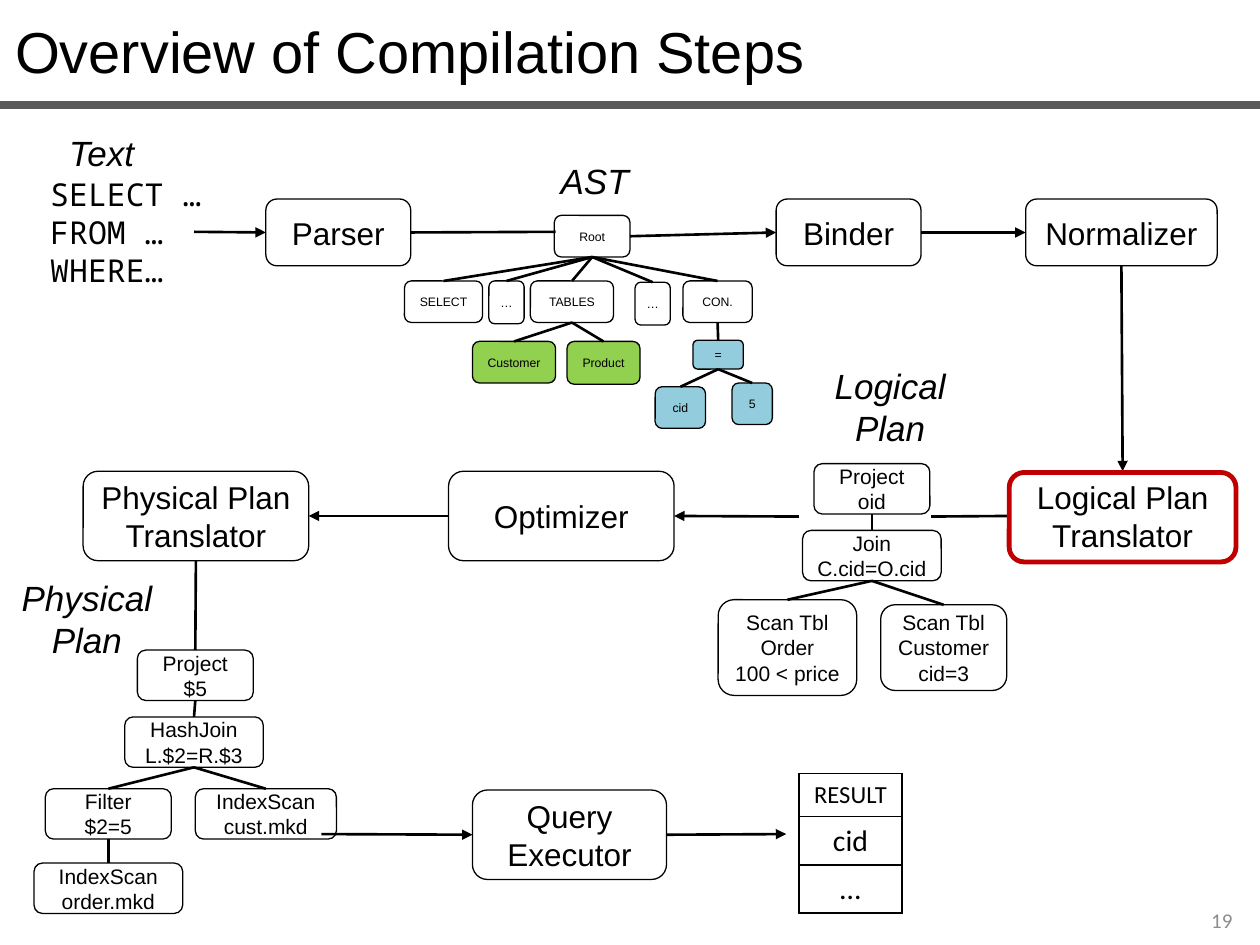
from dataclasses import dataclass

import pptx
import pptx.dml.color
import pptx.enum.shapes
import pptx.enum.text
import pptx.oxml
import pptx.oxml.ns
import pptx.util
from pptx.util import Inches

ALIGN = pptx.enum.text.PP_ALIGN
ANCHOR = pptx.enum.text.MSO_ANCHOR
TOP, LEFT, BOTTOM, RIGHT = range(4)


@dataclass(frozen=True)
class Theme:
    black: str = "000000"
    white: str = "FFFFFF"
    rule: str = "595959"
    number: str = "8C8C8C"
    table_node: str = "92D050"
    condition_node: str = "93CDDD"
    highlight: str = "C00000"
    sans: str = "Arial"
    mono: str = "Noto Sans Mono"
    body: str = "Calibri"
    title_size: int = 33
    label_size: int = 20
    step_size: int = 18
    cell_size: int = 17
    heading_size: int = 14
    plan_size: int = 12
    ast_size: int = 7


THEME = Theme()

# Tree nodes: key -> (text, position and size, parent key, fill)
AST = {
    "root": ("Root", (4.4, 1.71, 0.6, 0.33), None, None),
    "select": ("SELECT", (3.21, 2.23, 0.62, 0.33), "root", None),
    "more1": ("…", (3.88, 2.23, 0.28, 0.34), "root", None),
    "tables": ("TABLES", (4.21, 2.23, 0.66, 0.33), "root", None),
    "more2": ("…", (5.04, 2.24, 0.28, 0.34), "root", None),
    "condition": ("CON.", (5.42, 2.23, 0.55, 0.33), "root", None),
    "customer": ("Customer", (3.75, 2.71, 0.66, 0.33), "tables", THEME.table_node),
    "product": ("Product", (4.5, 2.71, 0.58, 0.34), "tables", THEME.table_node),
    "equals": ("=", (5.5, 2.7, 0.4, 0.23), "condition", THEME.condition_node),
    "cid": ("cid", (5.2, 3.07, 0.4, 0.33), "equals", THEME.condition_node),
    "five": ("5", (5.81, 3.04, 0.32, 0.33), "equals", THEME.condition_node),
}
LOGICAL_PLAN = {
    "project": ("Project\noid", (6.46, 3.68, 0.92, 0.4), None, None),
    "join": ("Join\nC.cid=O.cid", (6.37, 4.21, 1.1, 0.4), "project", None),
    "order": ("Scan Tbl\nOrder\n100 < price", (5.7, 4.76, 1.1, 0.76), "join", THEME.white),
    "customer": ("Scan Tbl\nCustomer\ncid=3", (6.99, 4.8, 1, 0.68), "join", THEME.white),
}
PHYSICAL_PLAN = {
    "project": ("Project\n$5", (1.09, 5.16, 0.92, 0.4), None, None),
    "join": ("HashJoin\nL.$2=R.$3", (0.99, 5.69, 1.1, 0.4), "project", None),
    "filter": ("Filter\n$2=5", (0.36, 6.26, 1, 0.4), "join", None),
    "order": ("IndexScan\norder.mkd", (0.27, 6.85, 1.18, 0.4), "filter", THEME.white),
    "customer": ("IndexScan cust.mkd", (1.55, 6.26, 1.12, 0.4), "join", THEME.white),
}


def rgb(value):
    return pptx.dml.color.RGBColor.from_string(value)


def style_text(frame, size, font=THEME.sans, color=THEME.black, align=ALIGN.LEFT,
               italic=False, spacing=None):
    for paragraph in frame.paragraphs:
        paragraph.alignment = align
        if spacing:
            paragraph.line_spacing = spacing
        for run in paragraph.runs:
            run.font.size = pptx.util.Pt(size)
            run.font.name = font
            run.font.italic = italic
            run.font.color.rgb = rgb(color)


def add_text(slide, text, place, size, anchor=ANCHOR.TOP, **style):
    frame = slide.shapes.add_textbox(*map(Inches, place)).text_frame
    frame.word_wrap = True
    frame.vertical_anchor = anchor
    frame.text = text
    style_text(frame, size, **style)


def add_box(slide, text, place, size=THEME.step_size, fill=None,
            line=THEME.black, weight=0.75):
    box = slide.shapes.add_shape(
        pptx.enum.shapes.MSO_SHAPE.ROUNDED_RECTANGLE, *map(Inches, place))
    box.shadow.inherit = False
    if fill:
        box.fill.solid()
        box.fill.fore_color.rgb = rgb(fill)
    else:
        box.fill.background()
    box.line.color.rgb = rgb(line)
    box.line.width = pptx.util.Pt(weight)
    frame = box.text_frame
    frame.word_wrap = True
    frame.vertical_anchor = ANCHOR.MIDDLE
    frame.margin_left = frame.margin_right = 0
    frame.margin_top = frame.margin_bottom = 0
    frame.text = text
    style_text(frame, size, align=ALIGN.CENTER)
    return box


def add_link(slide, start, end, arrow=False, color=THEME.black, weight=1.5):
    """Each end is either an (x, y) point in inches or a (box, side) pair."""
    joined = [not isinstance(point[0], (int, float)) for point in (start, end)]
    points = [(0, 0) if join else point for join, point in zip(joined, (start, end))]
    link = slide.shapes.add_connector(
        pptx.enum.shapes.MSO_CONNECTOR.STRAIGHT,
        *(Inches(value) for point in points for value in point))
    if joined[0]:
        link.begin_connect(*start)
    if joined[1]:
        link.end_connect(*end)
    link.line.color.rgb = rgb(color)
    link.line.width = pptx.util.Pt(weight)
    if arrow:
        tip = pptx.oxml.parse_xml(
            f'<a:tailEnd {pptx.oxml.ns.nsdecls("a")} type="triangle"/>')
        link.line._get_or_add_ln().append(tip)
    link._element.spPr.append(
        pptx.oxml.parse_xml(f'<a:effectLst {pptx.oxml.ns.nsdecls("a")}/>'))


def add_tree(slide, nodes, size):
    boxes = {key: add_box(slide, text, place, size, fill)
             for key, (text, place, _, fill) in nodes.items()}
    for key, (_, _, parent, _) in nodes.items():
        if parent:
            add_link(slide, (boxes[parent], BOTTOM), (boxes[key], TOP))
    return boxes


def set_borders(cell):
    properties = cell._tc.get_or_add_tcPr()
    for index, side in enumerate(("lnL", "lnR", "lnT", "lnB")):
        properties.insert(index, pptx.oxml.parse_xml(
            f'<a:{side} {pptx.oxml.ns.nsdecls("a")} w="12700"><a:solidFill>'
            f'<a:srgbClr val="{THEME.black}"/></a:solidFill></a:{side}>'))


def add_result(slide):
    rows = (("RESULT", 0.34, THEME.heading_size),
            ("cid", 0.38, THEME.cell_size),
            ("…", 0.38, THEME.cell_size))
    result = slide.shapes.add_table(
        len(rows), 1, *map(Inches, (6.34, 6.14, 0.82, 1.1))).table
    result.first_row = result.horz_banding = False
    for index, (text, height, size) in enumerate(rows):
        result.rows[index].height = Inches(height)
        cell = result.cell(index, 0)
        cell.text = text
        cell.fill.background()
        style_text(cell.text_frame, size, THEME.body, align=ALIGN.CENTER)
        set_borders(cell)


def add_title(slide, text):
    title = slide.shapes.title
    title.left, title.top, title.width, title.height = map(Inches, (0.02, 0.07, 10, 0.66))
    title.text_frame.text = text
    title.text_frame.vertical_anchor = ANCHOR.MIDDLE
    style_text(title.text_frame, THEME.title_size)
    add_link(slide, (0, 0.83), (10, 0.83), color=THEME.rule, weight=4.5)


def add_labels(slide):
    for text, place in (("AST", (4.35, 1.05, 0.81, 0.54)),
                        ("Text", (0.45, 0.83, 0.81, 0.54))):
        add_text(slide, text, place, THEME.label_size, italic=True, spacing=1.5)
    for text, place in (("Logical Plan", (6.23, 2.84, 1.67, 0.77)),
                        ("Physical Plan", (0.07, 4.53, 1.24, 0.77))):
        add_text(slide, text, place, THEME.label_size, italic=True, align=ALIGN.CENTER)


def main():
    deck = pptx.Presentation()
    deck.slide_width, deck.slide_height = Inches(10), Inches(7.5)
    slide = deck.slides.add_slide(deck.slide_layouts[5])
    add_title(slide, "Overview of Compilation Steps")
    add_text(slide, "19", (7.55, 7.1, 2.33, 0.4), THEME.plan_size, ANCHOR.MIDDLE,
             font=THEME.body, color=THEME.number, align=ALIGN.RIGHT)
    add_text(slide, "SELECT …\nFROM …\nWHERE…", (0.3, 1.34, 1.48, 1.01),
             THEME.step_size, font=THEME.mono)

    parser = add_box(slide, "Parser", (2.11, 1.58, 1.15, 0.53))
    binder = add_box(slide, "Binder", (6.16, 1.58, 1.15, 0.53))
    normalizer = add_box(slide, "Normalizer", (8.14, 1.58, 1.52, 0.53))
    logical = add_box(slide, "Logical Plan Translator", (8.01, 3.74, 1.8, 0.71))
    optimizer = add_box(slide, "Optimizer", (3.56, 3.74, 1.79, 0.71))
    physical = add_box(slide, "Physical Plan Translator", (0.66, 3.74, 1.79, 0.71))
    executor = add_box(slide, "Query Executor", (3.75, 6.27, 1.54, 0.71))

    ast = add_tree(slide, AST, THEME.ast_size)
    physical_plan = add_tree(slide, PHYSICAL_PLAN, THEME.plan_size)
    add_tree(slide, LOGICAL_PLAN, THEME.plan_size)

    add_link(slide, (parser, RIGHT), (4.41, 1.84))
    add_link(slide, (logical, LEFT), (7.39, 4.1))
    add_link(slide, (physical, BOTTOM), (physical_plan["project"], TOP))
    for start, end in (
        ((1.54, 1.84), (parser, LEFT)),
        ((ast["root"], RIGHT), (binder, LEFT)),
        ((binder, RIGHT), (normalizer, LEFT)),
        ((normalizer, BOTTOM), (logical, TOP)),
        ((6.34, 4.1), (optimizer, RIGHT)),
        ((optimizer, LEFT), (physical, RIGHT)),
        ((2.55, 6.62), (executor, LEFT)),
        ((executor, RIGHT), (6.24, 6.62)),
    ):
        add_link(slide, start, end, arrow=True)

    add_result(slide)
    add_labels(slide)
    add_box(slide, "", (8.01, 3.75, 1.8, 0.71), line=THEME.highlight, weight=2.75)
    deck.save("out.pptx")


if __name__ == "__main__":
    main()
